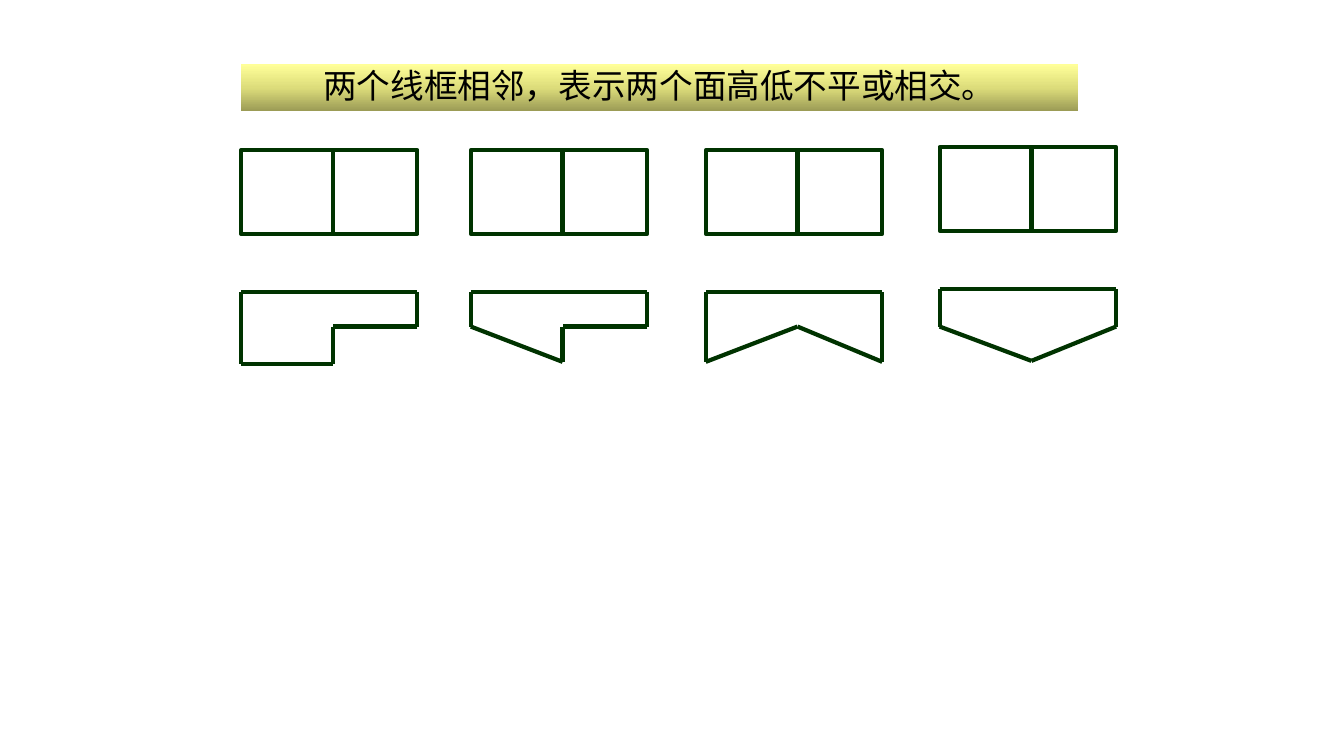
from copy import deepcopy
from itertools import pairwise

from lxml.etree import SubElement
from pptx import Presentation
from pptx.dml.color import RGBColor
from pptx.enum.shapes import MSO_CONNECTOR, MSO_SHAPE
from pptx.enum.text import MSO_ANCHOR, MSO_AUTO_SIZE, PP_ALIGN
from pptx.oxml.ns import qn
from pptx.util import Inches, Pt

INK = RGBColor(0x00, 0x33, 0x00)
BLACK = RGBColor(0x00, 0x00, 0x00)
BANNER_STOPS = [
    (0, RGBColor(0x9C, 0x9C, 0x56)),
    (0.5, RGBColor(0xDD, 0xDD, 0x7B)),
    (1, RGBColor(0xFF, 0xFF, 0x99)),
]
FONT = "Noto Sans CJK SC"
TITLE = "两个线框相邻，表示两个面高低不平或相交。"

VIEW_WIDTH, VIEW_HEIGHT = 1.75, 0.83
PLAN_TOP, PROFILE_TOP = 1.49, 2.9
SPLIT = 0.52
HIGH, LOW = 0.34, 0.69
STEP = [(0, 0), (1, 0), (1, HIGH), (SPLIT, HIGH), (SPLIT, LOW + 0.02), (0, LOW + 0.02), (0, 0)]
SLOPE_AND_STEP = [(0, 0), (1, 0), (1, HIGH), (SPLIT, HIGH), (SPLIT, LOW), (0, HIGH), (0, 0)]
NOTCH = [(0, 0), (1, 0), (1, LOW), (SPLIT, HIGH), (0, LOW), (0, 0)]
POINT = [(0, 0), (1, 0), (1, HIGH + 0.03), (SPLIT, LOW + 0.02), (0, HIGH + 0.03), (0, 0)]
VIEWS = [
    (2.39, 0, STEP),
    (4.67, 0, SLOPE_AND_STEP),
    (7.0, 0, NOTCH),
    (9.32, -0.03, POINT),
]


def apply_format(target, values):
    for name, value in values.items():
        setattr(target, name, value)


def style_line(line):
    line.color.rgb = INK
    line.width = Pt(3)


def add_banner(page):
    box = page.shapes.add_shape(
        MSO_SHAPE.RECTANGLE, Inches(2.39), Inches(0.64), Inches(8.3), Inches(0.46))
    box.shadow.inherit = False
    box.line.fill.background()
    box.fill.gradient()
    box.fill.gradient_angle = 90
    stop_list = box.fill.gradient_stops
    first = box.fill._fill._gradFill.gsLst[0]
    first.addnext(deepcopy(first))
    for stop, (position, color) in zip(box.fill.gradient_stops, BANNER_STOPS):
        stop.position = position
        stop.color.rgb = color

    apply_format(box.text_frame, {
        "word_wrap": True, "vertical_anchor": MSO_ANCHOR.MIDDLE,
        "auto_size": MSO_AUTO_SIZE.SHAPE_TO_FIT_TEXT,
        "margin_top": 0, "margin_bottom": 0})
    para = box.text_frame.paragraphs[0]
    apply_format(para, {"alignment": PP_ALIGN.CENTER, "line_spacing": 0.9})
    span = para.add_run()
    span.text = TITLE
    apply_format(span.font, {"size": Pt(24), "name": FONT})
    span.font.color.rgb = BLACK
    SubElement(span.font._element, qn("a:ea"), typeface=FONT)


def add_edge(group, start, end):
    edge = group.shapes.add_connector(
        MSO_CONNECTOR.STRAIGHT, *[Inches(length) for length in (*start, *end)])
    style_line(edge.line)
    SubElement(edge._element.spPr, qn("a:effectLst"))


def add_plan(page, left, top):
    group = page.shapes.add_group_shape()
    frame = group.shapes.add_shape(
        MSO_SHAPE.RECTANGLE, Inches(left), Inches(top), Inches(VIEW_WIDTH), Inches(VIEW_HEIGHT))
    frame.shadow.inherit = False
    frame.fill.background()
    style_line(frame.line)
    split = left + SPLIT * VIEW_WIDTH
    add_edge(group, (split, top), (split, top + VIEW_HEIGHT))


def add_profile(page, left, top, outline):
    group = page.shapes.add_group_shape()
    corners = [(left + share * VIEW_WIDTH, top + depth) for share, depth in outline]
    for start, end in pairwise(corners):
        add_edge(group, start, end)


def main():
    """Build the slide of adjoining line frames and save it."""
    deck = Presentation()
    apply_format(deck, {"slide_width": Inches(13.33), "slide_height": Inches(7.5)})
    page = deck.slides.add_slide(deck.slide_layouts[6])
    add_banner(page)
    for left, lift, outline in VIEWS:
        add_plan(page, left, PLAN_TOP + lift)
        add_profile(page, left, PROFILE_TOP + lift, outline)
    deck.save("out.pptx")


if __name__ == "__main__":
    main()
